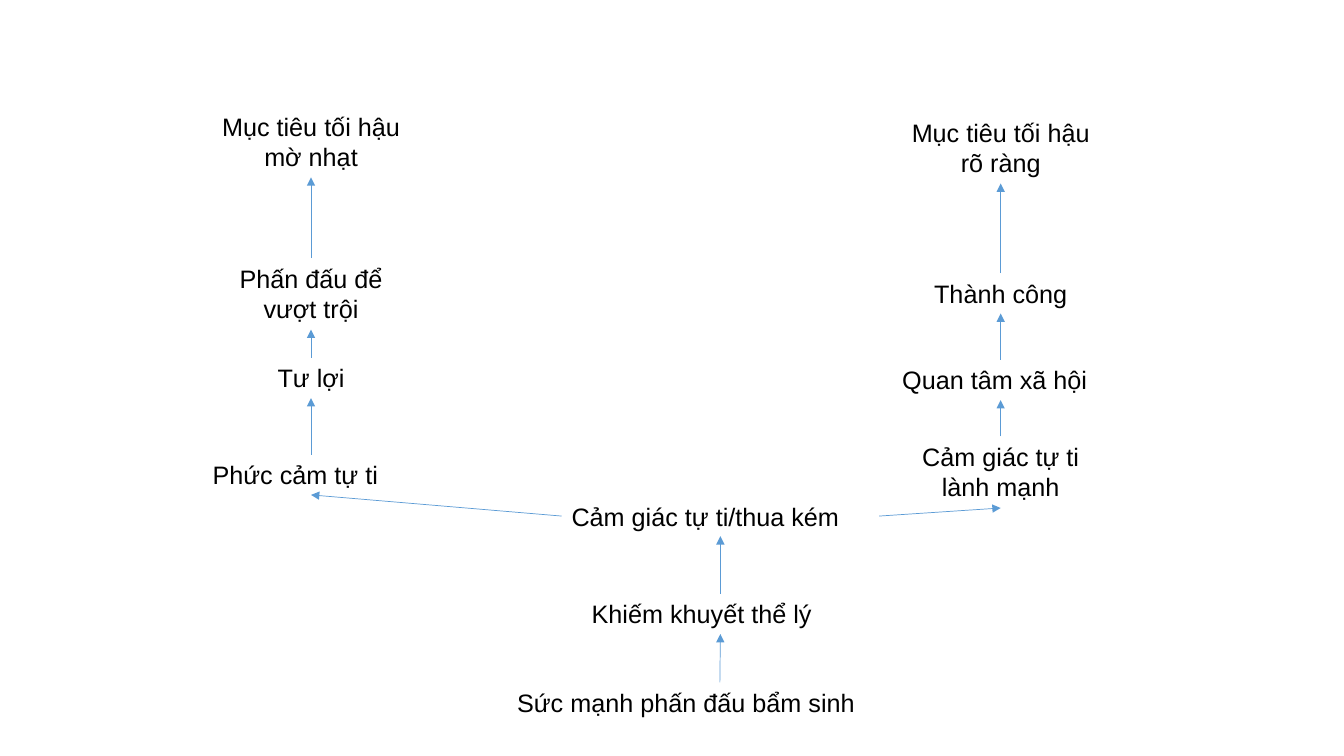
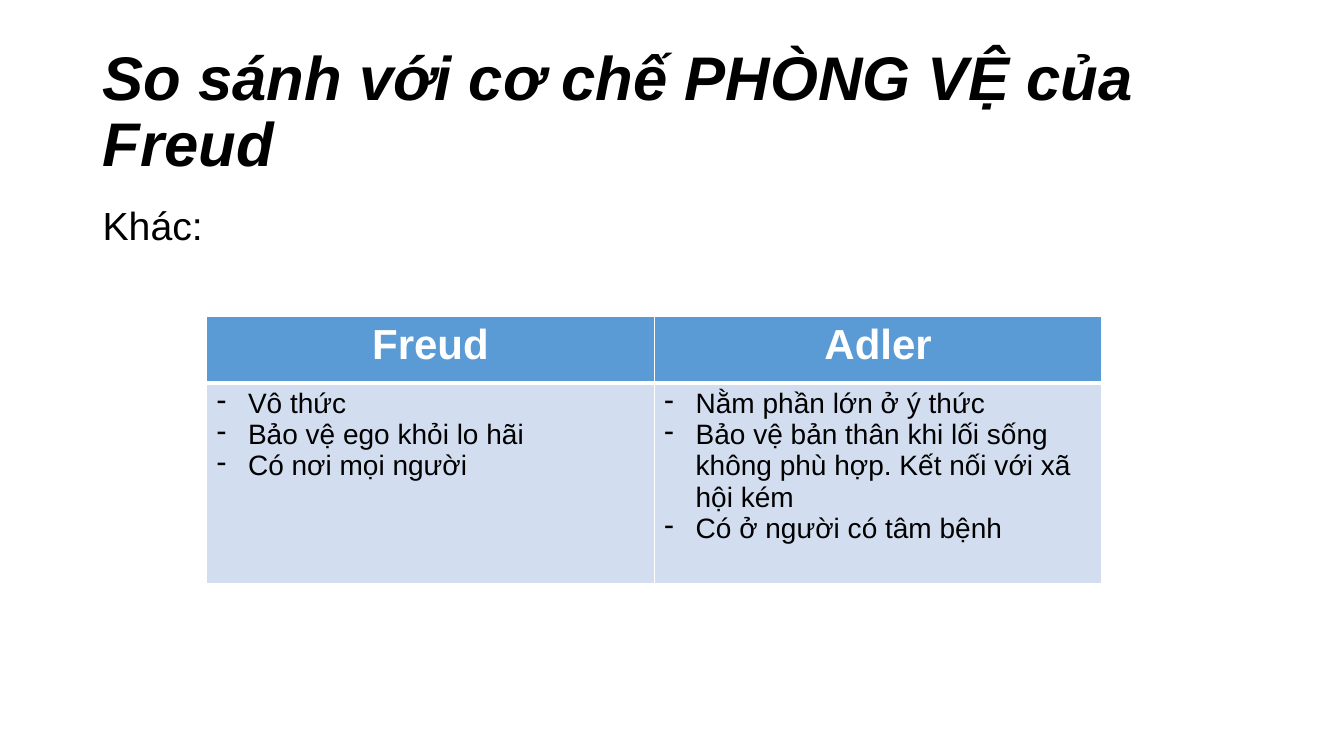
"""Builds two slides: a diagram of inferiority feelings and a Freud and Adler comparison."""
from lxml.etree import SubElement
from pptx import Presentation
from pptx.dml.color import RGBColor
from pptx.enum.shapes import MSO_CONNECTOR
from pptx.enum.text import MSO_ANCHOR, MSO_AUTO_SIZE, PP_ALIGN
from pptx.oxml.ns import qn
from pptx.util import Inches, Pt

COLORS = {"text": "000000", "accent": "5B9BD5", "pale": "D2DEEF", "white": "FFFFFF"}
FONT = "Arial"
TOP, LEFT, BOTTOM, RIGHT = range(4)


def style_runs(frame, size, color="text", bold=False, italic=False):
    for paragraph in frame.paragraphs:
        for run in paragraph.runs:
            run.font.name = FONT
            run.font.size = Pt(size)
            run.font.bold = bold
            run.font.italic = italic
            run.font.color.rgb = RGBColor.from_string(COLORS[color])


def add_text(slide, text, left, top, width, height, size, bold=False, italic=False):
    box = slide.shapes.add_textbox(Inches(left), Inches(top), Inches(width), Inches(height))
    box.text_frame.word_wrap = True
    box.text_frame.text = text
    style_runs(box.text_frame, size, bold=bold, italic=italic)
    return box


prs = Presentation()
prs.slide_width = Inches(13.33)
prs.slide_height = Inches(7.5)
blank = prs.slide_layouts[6]

diagram = prs.slides.add_slide(blank)
branches = {
    "root": [
        ("Sức mạnh phấn đấu bẩm sinh", 5.03, 6.77, 4.22, 0.4, PP_ALIGN.LEFT),
        ("Khiếm khuyết thể lý", 5.77, 5.89, 2.75, 0.4, PP_ALIGN.LEFT),
        ("Cảm giác tự ti/thua kém", 5.57, 4.92, 3.15, 0.4, PP_ALIGN.LEFT),
    ],
    "unhealthy": [
        ("Phức cảm tự ti", 2.01, 4.51, 2.15, 0.4, PP_ALIGN.LEFT),
        ("Tư lợi", 2.01, 3.55, 2.15, 0.4, PP_ALIGN.CENTER),
        ("Phấn đấu để vượt trội", 2.01, 2.56, 2.15, 0.71, PP_ALIGN.CENTER),
        ("Mục tiêu tối hậu mờ nhạt", 2.01, 1.05, 2.15, 0.71, PP_ALIGN.CENTER),
    ],
    "healthy": [
        ("Cảm giác tự ti lành mạnh", 8.85, 4.33, 2.15, 0.71, PP_ALIGN.CENTER),
        ("Quan tâm xã hội", 8.85, 3.57, 2.15, 0.4, PP_ALIGN.LEFT),
        ("Thành công", 8.85, 2.71, 2.15, 0.4, PP_ALIGN.CENTER),
        ("Mục tiêu tối hậu rõ ràng", 8.85, 1.11, 2.15, 0.71, PP_ALIGN.CENTER),
    ],
}

stages = {}
links = []
for branch, entries in branches.items():
    stages[branch] = []
    for text, left, top, width, height, align in entries:
        stage = add_text(diagram, text, left, top, width, height, 18)
        stage.text_frame.auto_size = MSO_AUTO_SIZE.SHAPE_TO_FIT_TEXT
        stage.text_frame.paragraphs[0].alignment = align
        stages[branch].append(stage)
    for lower, upper in zip(stages[branch], stages[branch][1:]):
        links.append((lower, TOP, upper))

inferiority = stages["root"][-1]
links.append((inferiority, LEFT, stages["unhealthy"][0]))
links.append((inferiority, RIGHT, stages["healthy"][0]))

for source, side, target in links:
    arrow = diagram.shapes.add_connector(MSO_CONNECTOR.STRAIGHT, 0, 0, 0, 0)
    arrow.begin_connect(source, side)
    arrow.end_connect(target, BOTTOM)
    arrow.line.color.rgb = RGBColor.from_string(COLORS["accent"])
    arrow.line.width = Pt(0.5)
    SubElement(arrow.line._get_or_add_ln(), qn("a:tailEnd"), type="triangle")
    SubElement(arrow._element.spPr, qn("a:effectLst"))

comparison = prs.slides.add_slide(blank)
title = add_text(comparison, "So sánh với cơ chế PHÒNG VỆ của Freud",
                 0.92, 0.4, 11.5, 1.45, 44, bold=True, italic=True)
title.text_frame.vertical_anchor = MSO_ANCHOR.MIDDLE
title.text_frame.paragraphs[0].line_spacing = 0.9

intro = add_text(comparison, "Khác:", 0.92, 2, 11.5, 4.76, 28)
intro.text_frame.paragraphs[0].line_spacing = 0.9
intro.text_frame.paragraphs[0].space_before = Pt(10)

theories = {
    "Freud": ["Vô thức", "Bảo vệ ego khỏi lo hãi", "Có nơi mọi người"],
    "Adler": [
        "Nằm phần lớn ở ý thức",
        "Bảo vệ bản thân khi lối sống không phù hợp. Kết nối với xã hội kém",
        "Có ở người có tâm bệnh",
    ],
}
table = comparison.shapes.add_table(
    2, len(theories), Inches(2.05), Inches(3.14), Inches(8.88), Inches(2.65)).table
table.rows[0].height = Inches(0.66)
table.rows[1].height = Inches(1.99)

for column, (theorist, points) in enumerate(theories.items()):
    table.columns[column].width = Inches(4.44)
    header, body = table.cell(0, column), table.cell(1, column)

    for cell, fill, thick_edge in ((header, "accent", "lnB"), (body, "pale", "lnT")):
        properties = cell._tc.get_or_add_tcPr()
        for edge in ("lnL", "lnR", "lnT", "lnB"):
            width = Pt(3 if edge == thick_edge else 1)
            border = SubElement(properties, qn(f"a:{edge}"), w=str(int(width)))
            border_fill = SubElement(border, qn("a:solidFill"))
            SubElement(border_fill, qn("a:srgbClr"), val=COLORS["white"])
        cell.fill.solid()
        cell.fill.fore_color.rgb = RGBColor.from_string(COLORS[fill])

    header.text_frame.text = theorist
    header.text_frame.paragraphs[0].alignment = PP_ALIGN.CENTER
    style_runs(header.text_frame, 30, "white", bold=True)

    body.text_frame.text = "\n".join(points)
    style_runs(body.text_frame, 20)
    for paragraph in body.text_frame.paragraphs:
        bullet_properties = paragraph._p.get_or_add_pPr()
        bullet_properties.set("marL", str(int(Inches(0.31))))
        bullet_properties.set("indent", str(int(Inches(-0.31))))
        SubElement(bullet_properties, qn("a:buChar"), char="-")

prs.save("out.pptx")
